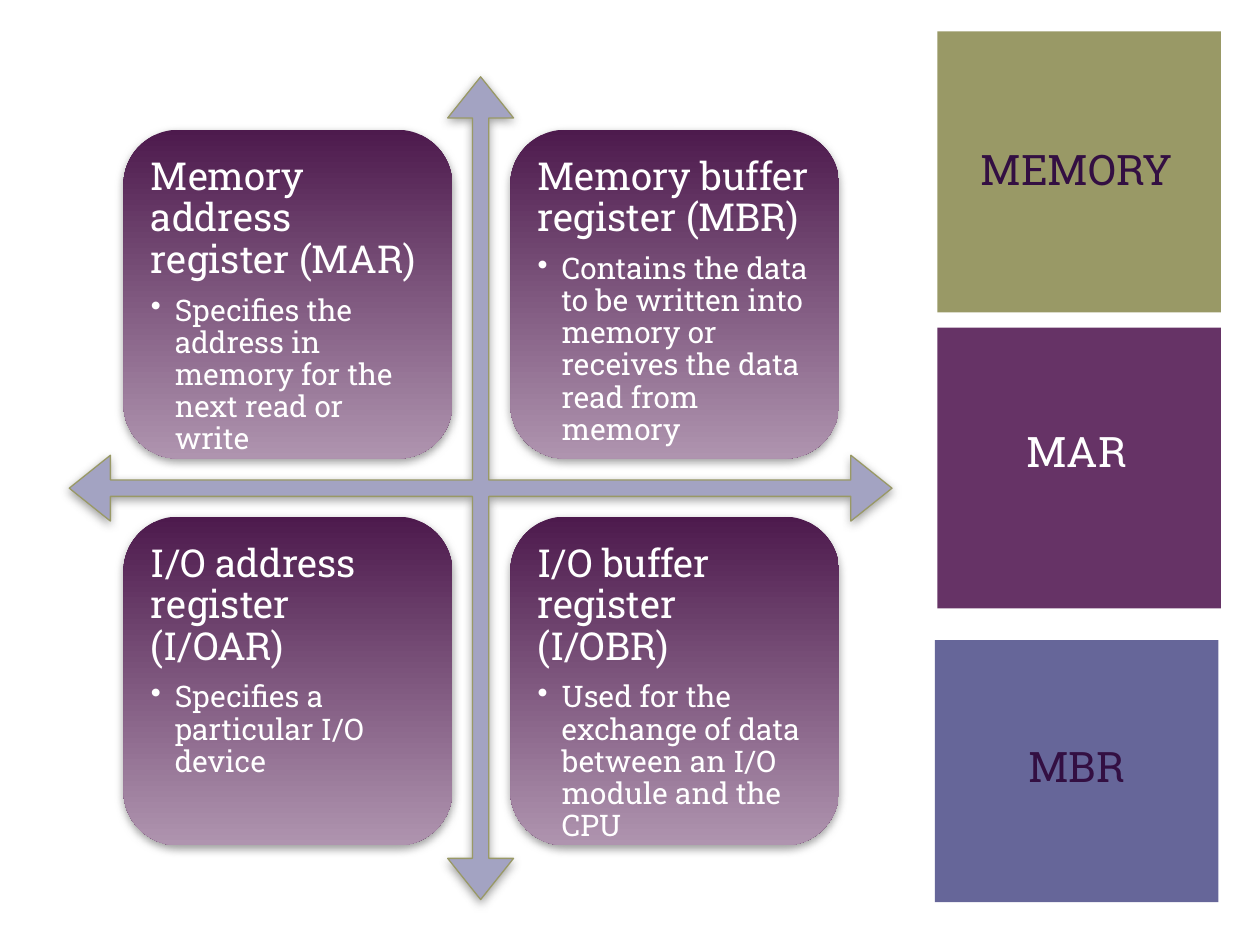
from lxml.etree import SubElement
from pptx import Presentation
from pptx.dml.color import RGBColor
from pptx.enum.shapes import MSO_SHAPE
from pptx.enum.text import MSO_ANCHOR, PP_ALIGN
from pptx.oxml.ns import qn
from pptx.util import Inches, Pt

COLORS = {
    "olive": "999966", "plum": "663366", "slate": "666699",
    "arrow": "A3A3C2", "card_top": "4D1A4D", "card_bottom": "AF94AF",
    "dark": "330F42", "white": "FFFFFF", "shadow": "808080",
}
FONT = "Roboto Slab"
CARD_SIZE, CARD_STEP = 2.61, 3.07
CARDS = [
    ("Memory address register (MAR)",
     "Specifies the address in memory for the next read or write"),
    ("Memory buffer register (MBR)",
     "Contains the data to be written into memory or receives the data read from memory"),
    ("I/O address register (I/OAR)",
     "Specifies a particular I/O device"),
    ("I/O buffer register (I/OBR)",
     "Used for the exchange of data between an I/O module and the CPU"),
]


def rgb(name):
    return RGBColor.from_string(COLORS[name])


def add_run(p, text, size, color):
    r = p.add_run()
    r.text = text
    r.font.name = FONT
    r.font.size = Pt(size)
    r.font.color.rgb = rgb(color)


def add_shape(s, kind, x, y, w, h, color=None):
    sp = s.shapes.add_shape(kind, Inches(x), Inches(y), Inches(w), Inches(h))
    sp.shadow.inherit = False
    sp.line.fill.background()
    if color:
        sp.fill.solid()
        sp.fill.fore_color.rgb = rgb(color)
    return sp


def add_soft_shadow(sp):
    effects = sp._element.spPr.find(qn("a:effectLst"))
    shadow = SubElement(effects, qn("a:outerShdw"), blurRad=str(Pt(5)),
                        dist=str(Pt(2)), dir="5400000", rotWithShape="0")
    color = SubElement(shadow, qn("a:srgbClr"), val=COLORS["shadow"])
    SubElement(color, qn("a:alpha"), val="75000")


def add_bullet(p):
    pPr = p._p.get_or_add_pPr()
    pPr.set("marL", str(Inches(0.19)))
    pPr.set("indent", str(-Inches(0.19)))
    SubElement(pPr, qn("a:buChar"), char="•")


def add_axes(s):
    sp = add_shape(s, MSO_SHAPE.QUAD_ARROW, 0.55, 0.61, 6.53, 6.53, "arrow")
    for i, value in enumerate((0.02, 0.04, 0.05)):
        sp.adjustments[i] = value
    sp.line.color.rgb = rgb("olive")
    sp.line.width = Pt(0.75)
    add_soft_shadow(sp)


def add_card(s, x, y, heading, detail):
    sp = add_shape(s, MSO_SHAPE.ROUNDED_RECTANGLE, x, y, CARD_SIZE, CARD_SIZE)
    sp.fill.gradient()
    sp.fill.gradient_angle = 270
    for stop, name, position in zip(sp.fill.gradient_stops,
                                    ("card_top", "card_bottom"), (0, 1)):
        stop.color.rgb = rgb(name)
        stop.position = position
    add_soft_shadow(sp)

    tf = sp.text_frame
    tf.word_wrap = True
    tf.vertical_anchor = MSO_ANCHOR.TOP
    tf.margin_left = tf.margin_right = Inches(0.09)
    tf.margin_top = tf.margin_bottom = Inches(0.09)
    for p, text, size, after in ((tf.paragraphs[0], heading, 22, 7.7),
                                 (tf.add_paragraph(), detail, 17, 2.55)):
        p.alignment = PP_ALIGN.LEFT
        p.line_spacing = 0.9
        p.space_after = Pt(after)
        add_run(p, text, size, "white")
    p.level = 1
    add_bullet(p)


def add_label(s, text, y, color):
    sp = s.shapes.add_textbox(Inches(7.42), Inches(y), Inches(2.25), Inches(0.5))
    tf = sp.text_frame
    tf.word_wrap = True
    p = tf.paragraphs[0]
    p.alignment = PP_ALIGN.CENTER
    add_run(p, text, 24, color)


def set_title(s, text):
    sp = s.shapes.title
    sp.left, sp.top = Inches(7.42), Inches(0.67)
    sp.width, sp.height = Inches(2.25), Inches(0.92)
    tf = sp.text_frame
    tf.word_wrap = True
    tf.vertical_anchor = MSO_ANCHOR.BOTTOM
    p = tf.paragraphs[0]
    p.alignment = PP_ALIGN.CENTER
    add_run(p, text, 24, "dark")
    s.shapes._spTree.append(sp._element)  # bring in front of its panel


def main():
    prs = Presentation()
    prs.slide_width, prs.slide_height = Inches(10), Inches(7.5)
    s = prs.slides.add_slide(prs.slide_layouts[5])

    for x, y, h, color in ((7.44, 0.25, 2.23, "olive"),
                           (7.44, 2.6, 2.23, "plum"),
                           (7.42, 5.08, 2.08, "slate")):
        add_shape(s, MSO_SHAPE.RECTANGLE, x, y, 2.25, h, color)
    set_title(s, "MEMORY")
    add_axes(s)
    for i, (heading, detail) in enumerate(CARDS):
        row, col = divmod(i, 2)
        add_card(s, 0.98 + col * CARD_STEP, 1.03 + row * CARD_STEP, heading, detail)
    add_label(s, "MAR", 3.33, "white")
    add_label(s, "MBR", 5.83, "dark")
    prs.save("out.pptx")


if __name__ == "__main__":
    main()
